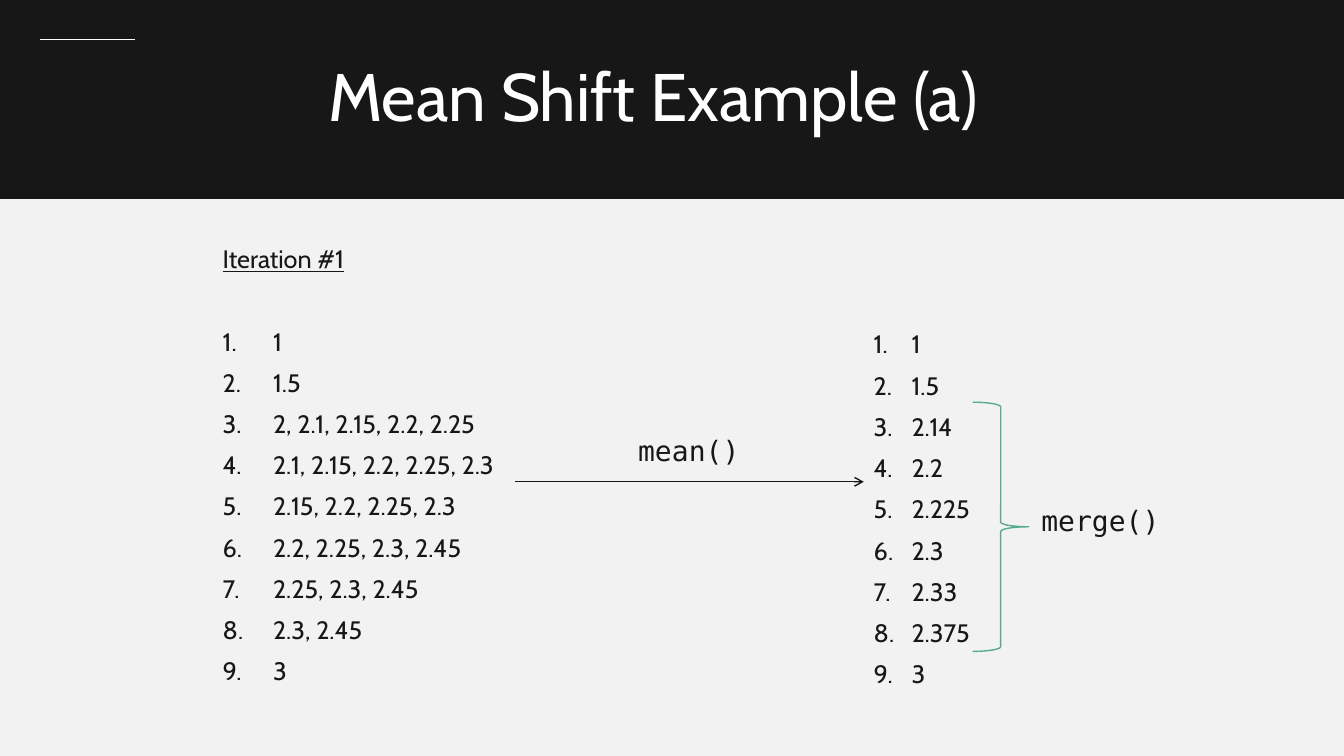
from lxml.etree import SubElement
from pptx import Presentation
from pptx.dml.color import RGBColor
from pptx.enum.shapes import MSO_CONNECTOR as Line, MSO_SHAPE as Shape
from pptx.enum.text import MSO_ANCHOR as Anchor, PP_ALIGN as Align
from pptx.oxml.ns import qn
from pptx.util import Pt

INK = RGBColor(0x18, 0x17, 0x17)
PAPER = RGBColor(0xF2, 0xF2, 0xF2)
WHITE = RGBColor(0xFF, 0xFF, 0xFF)
GREEN = RGBColor(0x56, 0xAB, 0x91)
SANS, MONO = "Cabin", "DejaVu Sans Mono"

ROW = 29.4
GAP = 10
LIST_TOP, LIST_HEIGHT = 172.8, 342.7

deck = Presentation()
deck.slide_width, deck.slide_height = Pt(960), Pt(540)
slide = deck.slides.add_slide(deck.slide_layouts[6])
slide.background.fill.solid()
slide.background.fill.fore_color.rgb = PAPER


def write(lines, left, top, width, height, size=18, font=SANS, color=INK,
          align=Align.LEFT, anchor=Anchor.TOP, inset_top=3.6, indent=0, heading=None):
    box = slide.shapes.add_textbox(Pt(left), Pt(top), Pt(width), Pt(height))
    frame = box.text_frame
    frame.word_wrap = True
    frame.vertical_anchor = anchor
    frame.margin_top = Pt(inset_top)
    rows = ([heading] if heading else []) + lines
    for i, row in enumerate(rows):
        para = frame.paragraphs[0] if i == 0 else frame.add_paragraph()
        para.alignment = align
        para.line_spacing = 0.9
        para.space_before = Pt(GAP + ROW if heading and i == 1 else GAP)
        run = para.add_run()
        run.text = row
        run.font.size, run.font.name = Pt(size), font
        run.font.color.rgb = color
        if heading and i == 0:
            run.font.underline = True
        elif indent:
            props = para._p.get_or_add_pPr()
            props.set("marL", str(Pt(indent)))
            props.set("indent", str(-Pt(indent)))
            SubElement(props, qn("a:buAutoNum"), type="arabicPeriod")
    return box


def rule(x1, x2, y, color, weight):
    line = slide.shapes.add_connector(Line.STRAIGHT, Pt(x1), Pt(y), Pt(x2), Pt(y))
    line.line.color.rgb = color
    line.line.width = Pt(weight)
    SubElement(line._element.spPr, qn("a:effectLst"))
    return line


banner = slide.shapes.add_shape(Shape.RECTANGLE, 0, 0, Pt(960), Pt(142))
banner.shadow.inherit = False
banner.fill.solid()
banner.fill.fore_color.rgb = INK
banner.line.color.rgb = INK
banner.line.width = Pt(1)

rule(28.3, 96.5, 28.2, WHITE, 0.5)
write(["Mean Shift Example (a)"], 66.2, 24.5, 800.6, 92.9, size=48, color=WHITE,
      align=Align.CENTER, anchor=Anchor.MIDDLE)

neighbours = write(
    ["1", "1.5", "2, 2.1, 2.15, 2.2, 2.25", "2.1, 2.15, 2.2, 2.25, 2.3",
     "2.15, 2.2, 2.25, 2.3", "2.2, 2.25, 2.3, 2.45", "2.25, 2.3, 2.45", "2.3, 2.45", "3"],
    152, LIST_TOP, 216, LIST_HEIGHT, indent=36, heading="Iteration #1")
means = write(
    ["1", "1.5", "2.14", "2.2", "2.225", "2.3", "2.33", "2.375", "3"],
    617, LIST_TOP, 98, LIST_HEIGHT, indent=27, inset_top=64.5)

mean_arrow = rule(368, 617, 344, INK, 1)
mean_arrow.begin_connect(neighbours, 3)
mean_arrow.end_connect(means, 1)
SubElement(mean_arrow.line._get_or_add_ln(), qn("a:tailEnd"), type="arrow")
write(["mean()"], 439, 309, 106, 35, size=20, font=MONO, align=Align.CENTER)

merge_brace = slide.shapes.add_shape(Shape.RIGHT_BRACE, Pt(694.8), Pt(287.3), Pt(40), Pt(178))
merge_brace.shadow.inherit = False
merge_brace.fill.background()
merge_brace.line.color.rgb = GREEN
merge_brace.line.width = Pt(1)
write(["merge()"], 733, 358.6, 106, 35, size=20, font=MONO, align=Align.CENTER)

deck.save("out.pptx")
